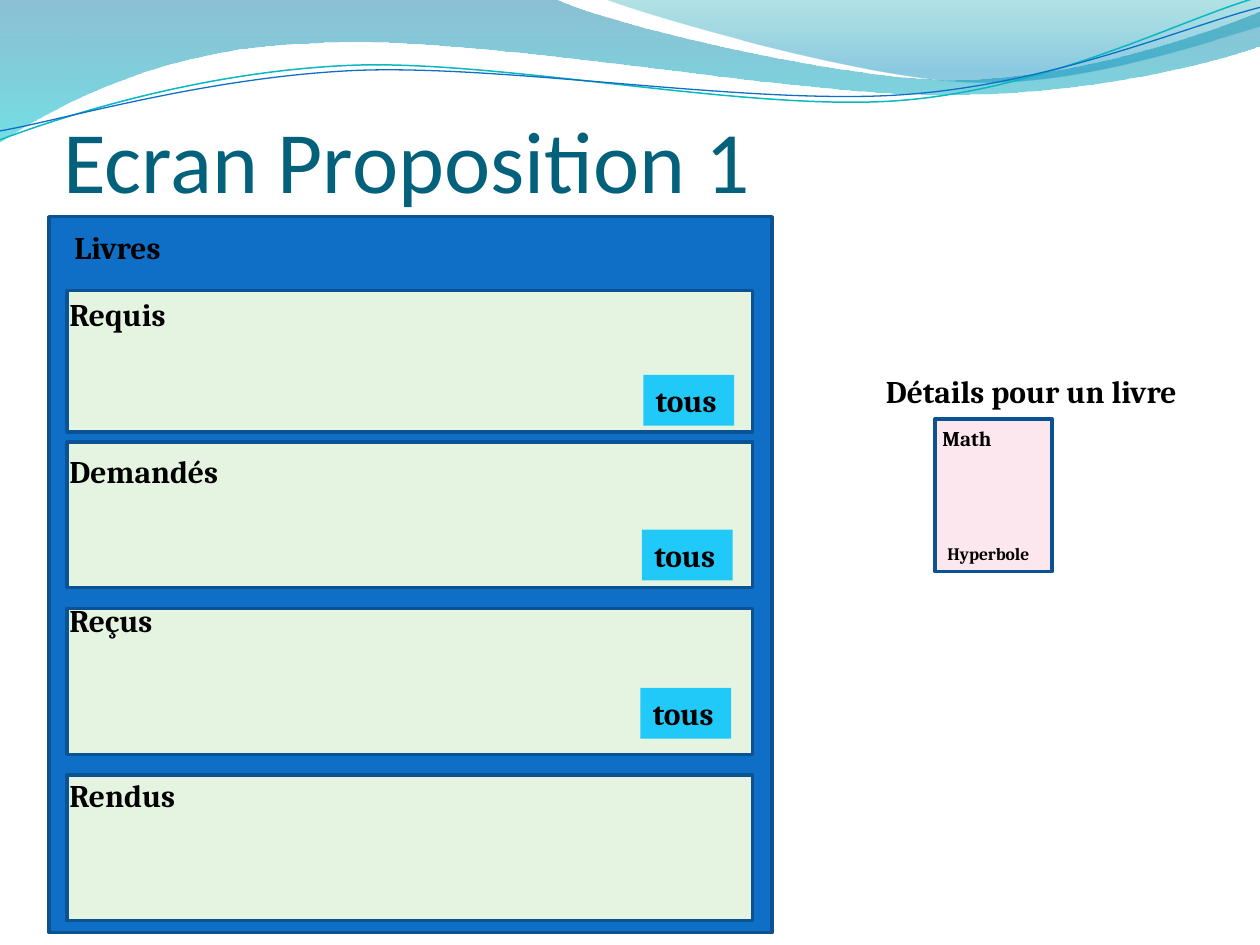
from math import cos, radians, sin

from lxml.etree import SubElement
from pptx import Presentation
from pptx.dml.color import RGBColor
from pptx.enum.shapes import MSO_SHAPE as Kind
from pptx.enum.text import MSO_ANCHOR as Anchor, MSO_AUTO_SIZE as Fit, PP_ALIGN as Align
from pptx.oxml.ns import qn
from pptx.util import Cm, Pt

HUES = {
    "frame": "0F6FC6", "edge": "0B5292", "row": "E5F4E0", "tag": "20C9F8",
    "card": "FDE7EF", "title": "04617B", "ink": "000000", "teal": "0AB8BF",
    "deep": "0074A1", "aqua": "00C6CF", "sea": "00A1A9", "sky": "008BBF",
}

# Outlines in cm: two numbers draw a line, six a Bézier curve
BAND = [(0, 0), (11.18, -0.03), (12.09, 0.43, 16.87, 1.6, 19.25, 1.6),
        (21.67, 1.6, 24.33, 0.66, 25.4, 0.23), (25.43, 0.91),
        (24.97, 1.12, 22.1, 1.93, 18.95, 1.91), (15.8, 1.91, 9.7, 0.71, 6.53, 0.86),
        (3.28, 0.91, 1.17, 2.11, -0.03, 2.87), (0, 0)]
CREST = [(12.17, -0.03), (12.93, 0.28, 17.32, 1.57, 19.53, 1.65),
         (21.74, 1.75, 24.41, 0.81, 25.4, 0.53), (25.4, 0), (12.17, -0.03)]
UPPER = [(0, 2.82), (1.22, 2.36, 4.01, 1.45, 7.04, 1.32),
         (10.03, 1.19, 15.06, 2.26, 18.11, 2.03), (21.16, 1.8, 23.83, 0.38, 25.35, -0.05)]
LOWER = [(0, 2.64), (1.19, 2.44, 4.17, 1.55, 7.19, 1.42),
         (10.24, 1.3, 15.16, 2.13, 18.21, 1.91), (21.23, 1.7, 23.9, 0.53, 25.4, 0.15)]

# Each row: label, label width, row top, height, label offset, tag place in row
ROWS = [
    ("Requis", 2.59, 1.49, 2.85, -0.04, (11.62, 1.7)),
    ("Demandés", 3.76, 4.54, 2.94, 0.07, (11.59, 1.77)),
    ("Reçus", 2.31, 7.9, 2.94, -0.28, (11.56, 1.6)),
    ("Rendus", 2.79, 11.25, 2.94, -0.1, None),
]


def hue(name):
    return RGBColor.from_string(HUES[name])


def write(frame, text, size=18, font="Cambria", color="ink", bold=True):
    para = frame.paragraphs[0]
    para.alignment = Align.LEFT
    run = para.add_run()
    run.text = text
    run.font.size, run.font.name, run.font.bold = Pt(size), font, bold
    run.font.color.rgb = hue(color)


def label(shapes, text, x, y, w, h=1.02, fill=None, **style):
    box = shapes.add_textbox(Cm(x), Cm(y), Cm(w), Cm(h))
    box.text_frame.word_wrap = False
    box.text_frame.auto_size = Fit.SHAPE_TO_FIT_TEXT
    if fill:
        box.fill.solid()
        box.fill.fore_color.rgb = hue(fill)
    write(box.text_frame, text, **style)


def panel(shapes, x, y, w, h, fill):
    rect = shapes.add_shape(Kind.RECTANGLE, Cm(x), Cm(y), Cm(w), Cm(h))
    rect.shadow.inherit = False
    rect.fill.solid()
    rect.fill.fore_color.rgb = hue(fill)
    rect.line.color.rgb = hue("edge")
    rect.line.width = Pt(2)


def turn(x, y, angle, pivot=(12.7, 1.46)):
    a, dx, dy = radians(angle), x - pivot[0], y - pivot[1]
    return pivot[0] + dx * cos(a) - dy * sin(a), pivot[1] + dx * sin(a) + dy * cos(a)


def outline(shapes, segs, closed, tilt=0):
    dots = [turn(*seg[i:i + 2], -tilt) for seg in segs for i in range(0, len(seg), 2)]
    dots = [(Cm(x), Cm(y)) for x, y in dots]
    build = shapes.build_freeform(*dots[0])
    build.add_line_segments(dots[1:], close=closed)
    shape = build.convert_to_shape()
    shape.shadow.inherit = False
    shape.rotation = tilt
    # Join each run of three points into one curve
    track = next(shape.element.iter(qn("a:path")))
    steps = iter(track.findall(qn("a:lnTo")))
    for seg in segs[1:]:
        step = next(steps)
        if len(seg) == 6:
            curve = SubElement(track, qn("a:cubicBezTo"))
            step.addprevious(curve)
            for part in (step, next(steps), next(steps)):
                curve.append(part[0])
                track.remove(part)
    return shape


def wave(shapes, segs, stops):
    shape = outline(shapes, segs, True)
    shape.line.fill.background()
    shape.fill.gradient()
    shape.fill.gradient_angle = 270
    for stop, (place, name, _) in zip(shape.fill.gradient_stops, stops):
        stop.position = place
        stop.color.rgb = hue(name)
    tints = shape.element.spPr.iter(qn("a:srgbClr"))
    for tint, (_, _, alpha) in zip(list(tints), stops):
        SubElement(tint, qn("a:alpha"), val=str(alpha * 1000))


def header(shapes):
    wave(shapes, BAND, [(0, "deep", 45), (1, "aqua", 55)])
    wave(shapes, CREST, [(0, "sea", 30), (0.8, "sky", 45)])
    for segs, color, width in ((UPPER, "teal", 0.85), (LOWER, "frame", 0.75)):
        curve = outline(shapes, segs, False, tilt=-2.7)
        curve.fill.background()
        curve.line.color.rgb = hue(color)
        curve.line.width = Pt(width)


def heading(shapes, x, y, w, h):
    title = shapes.title
    shapes.element.append(title.element)
    title.left, title.top, title.width, title.height = Cm(x), Cm(y), Cm(w), Cm(h)
    frame = title.text_frame
    frame.auto_size, frame.word_wrap = Fit.NONE, True
    frame.vertical_anchor = Anchor.BOTTOM
    frame.margin_left = frame.margin_right = frame.margin_bottom = 0
    frame.margin_top = Cm(0.13)
    write(frame, "Ecran Proposition 1", size=50, font="Calibri", color="title", bold=False)


def books(shapes, x, y, w, h):
    panel(shapes, x, y, w, h, "frame")
    label(shapes, "Livres", x + 0.26, y + 0.1, 2.34)
    left = x + 0.36
    for name, wide, top, tall, shift, tag in ROWS:
        panel(shapes, left, y + top, w - 0.75, tall, "row")
        label(shapes, name, x + 0.16, y + top + shift, wide)
        if tag:
            label(shapes, "tous", left + tag[0], y + top + tag[1], 1.83, fill="tag")


def detail(shapes, x, y, w, h):
    card = shapes.add_group_shape().shapes
    panel(card, x, y, w, h, "card")
    label(card, "Math", x - 0.1, y, 1.57, 0.76, size=12)
    label(card, "Hyperbole", x, y + h - 0.69, 2.29, 0.68, size=10)
    label(shapes, "Détails pour un livre", x - 1.24, y - 1.08, 6.71)


def main():
    deck = Presentation()
    deck.slide_width, deck.slide_height = Cm(25.4), Cm(19.05)
    slide = deck.slides.add_slide(deck.slide_layouts[5])
    header(slide.shapes)
    heading(slide.shapes, 1.27, 1.07, 22.86, 3.18)
    books(slide.shapes, 0.99, 4.37, 14.57, 14.43)
    detail(slide.shapes, 18.85, 8.45, 2.36, 3.07)
    deck.save("out.pptx")


if __name__ == "__main__":
    main()
